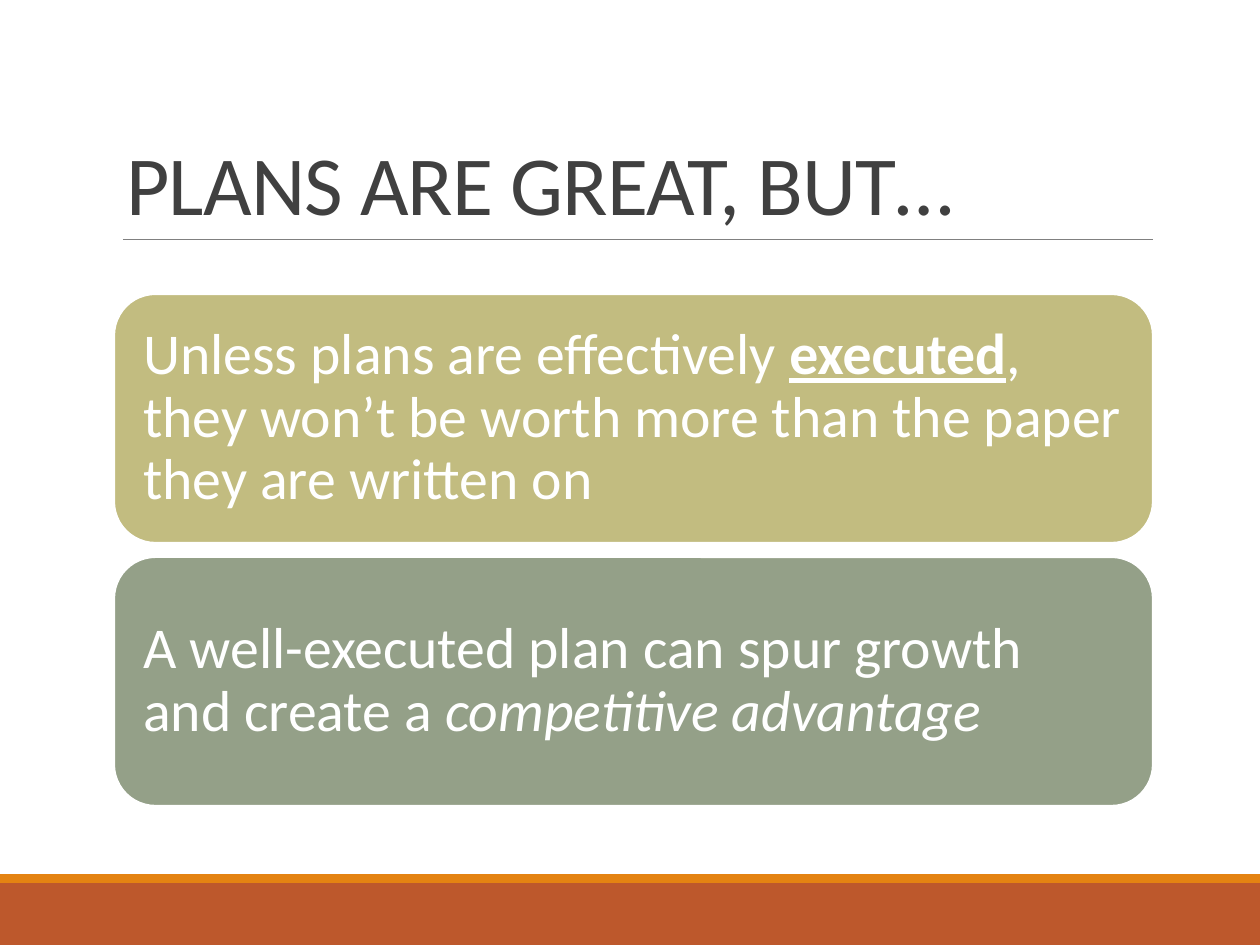
import pptx
import pptx.dml.color
import pptx.enum.shapes
import pptx.enum.text
import pptx.oxml.ns
import pptx.util
import lxml.etree

SCALE = 914400 / 126  # EMU per px
COLORS = {
    "white": "FFFFFF",
    "title": "404040",
    "rule": "808080",
    "rust": "BD582C",
    "orange": "E48312",
    "khaki": "C2BC80",
    "sage": "94A088",
}


def emu(*lengths):
    return [pptx.util.Emu(round(length * SCALE)) for length in lengths]


def rgb(name):
    return pptx.dml.color.RGBColor.from_string(COLORS[name])


deck = pptx.Presentation()
deck.slide_width, deck.slide_height = emu(1260, 945)
slide = deck.slides.add_slide(deck.slide_layouts[6])
shapes = slide.shapes

# Footer bands
for top, height, color in [(882, 63, "rust"), (874, 9, "orange")]:
    band = shapes.add_shape(pptx.enum.shapes.MSO_SHAPE.RECTANGLE, *emu(0, top, 1260, height))
    band.shadow.inherit = False
    band.fill.solid()
    band.fill.fore_color.rgb = rgb(color)
    band.line.fill.background()

# Rule under the title
rule = shapes.add_connector(pptx.enum.shapes.MSO_CONNECTOR.STRAIGHT, *emu(123, 239, 1153, 239))
rule.line.color.rgb = rgb("rule")
rule.line.width = pptx.util.Pt(0.5)
lxml.etree.SubElement(rule._element.spPr, pptx.oxml.ns.qn("a:effectLst"))

# Title
title = shapes.add_textbox(*emu(114, 39, 1039, 200)).text_frame
title.word_wrap = True
title.vertical_anchor = pptx.enum.text.MSO_ANCHOR.BOTTOM
heading = title.paragraphs[0]
heading.line_spacing = 0.85
heading.font.name = "Calibri"
heading.font.size = pptx.util.Pt(48)
heading.font.color.rgb = rgb("title")
heading_run = heading.add_run()
heading_run.text = "PLANS ARE GREAT, BUT…"
heading_run._r.get_or_add_rPr().set("spc", "-50")

# Message cards: fill and runs of (text, bold and underlined, italic)
cards = [
    ("khaki", [
        ("Unless plans are effectively ", False, False),
        ("executed", True, False),
        (", they won’t be worth more than the paper they are written on", False, False),
    ]),
    ("sage", [
        ("A well-executed plan can spur growth and create a ", False, False),
        ("competitive advantage", False, True),
    ]),
]
for row, (color, pieces) in enumerate(cards):
    card = shapes.add_shape(
        pptx.enum.shapes.MSO_SHAPE.ROUNDED_RECTANGLE, *emu(114, 294 + row * 263, 1039, 249))
    card.shadow.inherit = False
    card.fill.solid()
    card.fill.fore_color.rgb = rgb(color)
    card.line.color.rgb = rgb("white")
    card.line.width = pptx.util.Pt(1.25)

    message = card.text_frame
    message.word_wrap = True
    message.vertical_anchor = pptx.enum.text.MSO_ANCHOR.MIDDLE
    (message.margin_left, message.margin_top,
     message.margin_right, message.margin_bottom) = emu(17, 17, 17, 17)
    sentence = message.paragraphs[0]
    sentence.alignment = pptx.enum.text.PP_ALIGN.LEFT
    sentence.line_spacing = 0.9
    sentence.font.name = "Calibri"
    sentence.font.size = pptx.util.Pt(33)
    sentence.font.color.rgb = rgb("white")
    for text, strong, italic in pieces:
        piece = sentence.add_run()
        piece.text = text
        if strong:
            piece.font.bold = True
            piece.font.underline = True
        if italic:
            piece.font.italic = True

deck.save("out.pptx")
